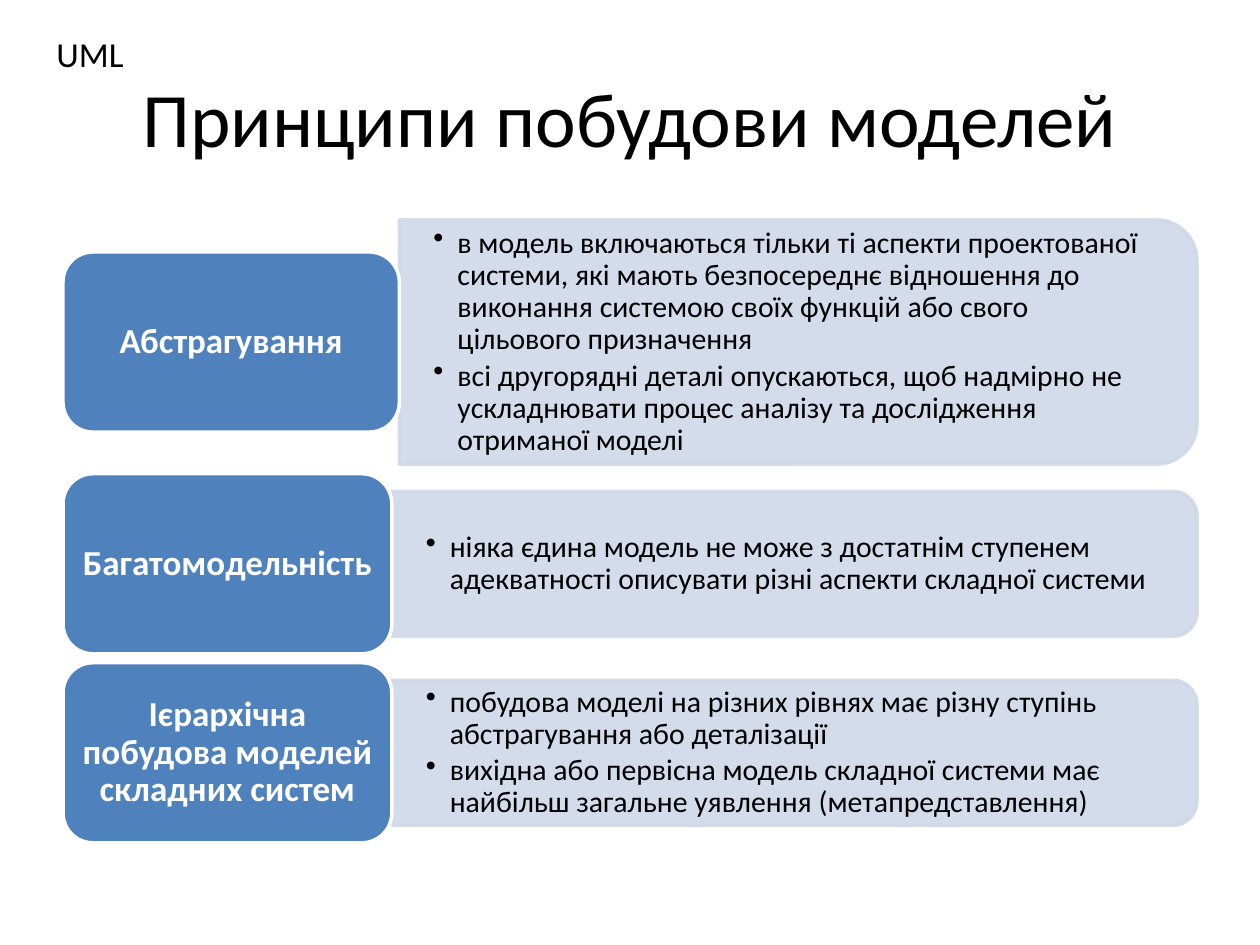
from lxml.etree import SubElement
from pptx import Presentation
from pptx.dml.color import RGBColor
from pptx.enum.shapes import MSO_SHAPE
from pptx.enum.text import MSO_ANCHOR, MSO_AUTO_SIZE, PP_ALIGN
from pptx.oxml.ns import qn
from pptx.util import Inches, Pt

BLACK = RGBColor(0x00, 0x00, 0x00)
WHITE = RGBColor(0xFF, 0xFF, 0xFF)
BLUE = RGBColor(0x4F, 0x81, 0xBD)
PALE_BLUE = RGBColor(0xD0, 0xD8, 0xE8)

LEFT, RIGHT = 0.5, 9.5
LABEL_HEIGHT = 1.43
CORNER_INSET = 0.049

PRINCIPLES = [
    (2.0, 2.67, 1.94, "Абстрагування", [
        "в модель включаються тільки ті аспекти проектованої системи, які мають "
        "безпосереднє відношення до виконання системою своїх функцій або свого "
        "цільового призначення",
        "всі другорядні деталі опускаються, щоб надмірно не ускладнювати процес "
        "аналізу та дослідження отриманої моделі",
    ]),
    (3.76, 2.61, 1.15, "Багатомодельність", [
        "ніяка єдина модель не може з достатнім ступенем адекватності описувати "
        "різні аспекти складної системи",
    ]),
    (5.26, 2.61, 1.15, "Ієрархічна побудова моделей складних систем", [
        "побудова моделі на різних рівнях має різну ступінь абстрагування або "
        "деталізації",
        "вихідна або первісна модель складної системи має найбільш загальне "
        "уявлення (метапредставлення)",
    ]),
]


class PrincipleSlide:
    font_name = "Calibri"

    def __init__(self, deck):
        self.page = deck.slides.add_slide(deck.slide_layouts[5])

    def style(self, paragraph, size, color, bold=False):
        font = paragraph.font
        font.name = self.font_name
        font.size = Pt(size)
        font.bold = bold
        font.color.rgb = color

    def frame(self, box, horizontal, vertical):
        frame = box.text_frame
        frame.word_wrap = True
        frame.vertical_anchor = MSO_ANCHOR.MIDDLE
        frame.margin_left = frame.margin_right = Inches(horizontal)
        frame.margin_top = frame.margin_bottom = Inches(vertical)
        return frame

    def shape(self, kind, left, top, width, height, fill, line):
        shape = self.page.shapes.add_shape(
            kind, Inches(left), Inches(top), Inches(width), Inches(height))
        shape.shadow.inherit = False
        shape.fill.solid()
        shape.fill.fore_color.rgb = fill
        shape.line.color.rgb = line
        shape.line.width = Pt(2)
        return shape

    def title(self, text):
        title = self.page.shapes.title
        title.left, title.top = Inches(0.5), Inches(0.3)
        title.width, title.height = Inches(9), Inches(1.25)
        title.text_frame.text = text
        title.text_frame.vertical_anchor = MSO_ANCHOR.MIDDLE
        paragraph = title.text_frame.paragraphs[0]
        paragraph.alignment = PP_ALIGN.CENTER
        self.style(paragraph, 44, BLACK)

    def topic(self, text):
        box = self.page.shapes.add_textbox(
            Inches(0.35), Inches(0.21), Inches(0.8), Inches(0.44))
        box.text_frame.word_wrap = False
        box.text_frame.auto_size = MSO_AUTO_SIZE.SHAPE_TO_FIT_TEXT
        box.text_frame.text = text
        self.style(box.text_frame.paragraphs[0], 20, BLACK)

    def panel(self, left, middle, width, height):
        panel = self.shape(
            MSO_SHAPE.ROUND_2_SAME_RECTANGLE,
            left + (width - height) / 2, middle - width / 2, height, width,
            PALE_BLUE, PALE_BLUE)
        panel.rotation = 90
        for color in panel.element.spPr.iter(qn("a:srgbClr")):
            SubElement(color, qn("a:alpha"), val="90000")

    def bullets(self, left, middle, width, height, items):
        inset = height * CORNER_INSET
        box = self.page.shapes.add_textbox(
            Inches(left), Inches(middle - height / 2 + inset),
            Inches(width - inset), Inches(height - 2 * inset))
        frame = self.frame(box, 0.27, 0.14)
        frame.text = "\n".join(items)
        for paragraph in frame.paragraphs:
            properties = paragraph._p.get_or_add_pPr()
            properties.set("marL", str(Inches(0.19)))
            properties.set("indent", str(-Inches(0.19)))
            SubElement(properties, qn("a:buChar"), char="•")
            paragraph.line_spacing = 0.9
            paragraph.space_after = Pt(2.5)
            self.style(paragraph, 17, BLACK)

    def label(self, top, width, text):
        label = self.shape(
            MSO_SHAPE.ROUNDED_RECTANGLE, LEFT, top, width, LABEL_HEIGHT,
            BLUE, WHITE)
        frame = self.frame(label, 0.08, 0.04)
        frame.text = text
        paragraph = frame.paragraphs[0]
        paragraph.alignment = PP_ALIGN.CENTER
        paragraph.line_spacing = 0.9
        self.style(paragraph, 20, WHITE, bold=True)

    def principle(self, top, label_width, panel_height, name, items):
        left = LEFT + label_width
        middle = top + LABEL_HEIGHT / 2
        area = (left, middle, RIGHT - left, panel_height)
        self.panel(*area)
        self.bullets(*area, items)
        self.label(top, label_width, name)


def main():
    deck = Presentation()
    deck.slide_width, deck.slide_height = Inches(10), Inches(7.5)
    slide = PrincipleSlide(deck)
    slide.title("Принципи побудови моделей")
    slide.topic("UML")
    for principle in PRINCIPLES:
        slide.principle(*principle)
    deck.save("out.pptx")


if __name__ == "__main__":
    main()
